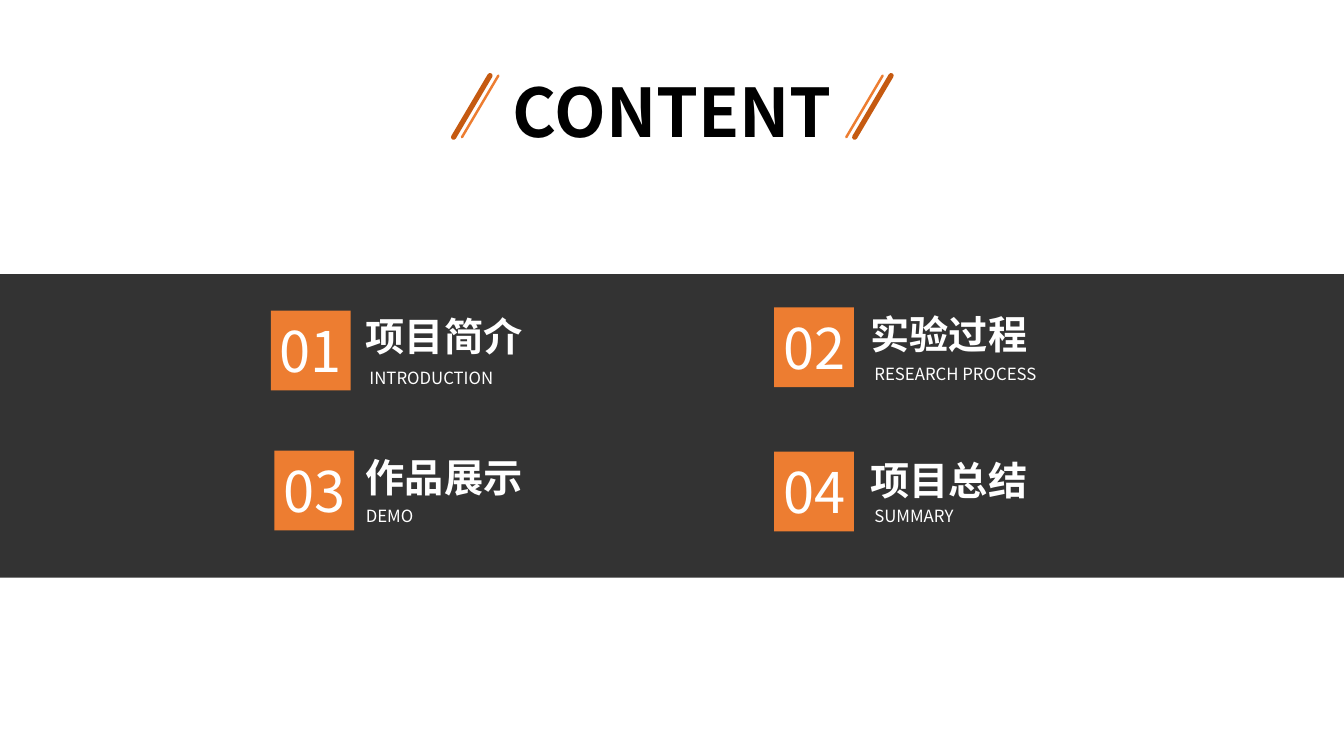
from lxml import etree
from pptx import Presentation
from pptx.dml.color import RGBColor
from pptx.enum import shapes, text
from pptx.oxml.ns import qn
from pptx.util import Pt

BLACK = RGBColor(0x00, 0x00, 0x00)
WHITE = RGBColor(0xFF, 0xFF, 0xFF)
ORANGE = RGBColor(0xED, 0x7D, 0x31)
RUST = RGBColor(0xC5, 0x5A, 0x11)
FONT = "Noto Sans CJK SC"
BADGE = 57

ENTRIES = [
    ("01", "项目简介", "INTRODUCTION", 193.5, 221.8, 254.2, 219.6, 259.2, 112.3, 2.5),
    ("03", "作品展示", "DEMO", 196, 321.8, 254.2, 320.4, 357.8, 51.8, 0),
    ("02", "实验过程", "RESEARCH PROCESS", 553, 219.6, 614.9, 218.2, 256.3, 137.5, 2.5),
    ("04", "项目总结", "SUMMARY", 553, 322.6, 614.9, 322.6, 357.8, 81.4, 2.5),
]


def add_block(slide, left, top, width, height, color):
    block = slide.shapes.add_shape(
        shapes.MSO_SHAPE.RECTANGLE, Pt(left), Pt(top), Pt(width), Pt(height))
    block.shadow.inherit = False
    block.fill.solid()
    block.fill.fore_color.rgb = color
    block.line.fill.background()
    return block


def add_label(slide, words, left, top, width, height, size, color=WHITE, bold=False,
              centred=False, middle=False, wrap=True, indent=0):
    label = slide.shapes.add_textbox(Pt(left), Pt(top), Pt(width), Pt(height))
    frame = label.text_frame
    frame.text = words
    frame.word_wrap = wrap
    frame.auto_size = text.MSO_AUTO_SIZE.SHAPE_TO_FIT_TEXT
    frame.margin_left = Pt(7.2 + indent)
    if middle:
        frame.vertical_anchor = text.MSO_ANCHOR.MIDDLE
    line = frame.paragraphs[0]
    line.alignment = text.PP_ALIGN.CENTER if centred else text.PP_ALIGN.LEFT
    font = line.runs[0].font
    font.size, font.bold, font.name = Pt(size), bold, FONT
    font.color.rgb = color
    etree.SubElement(line.runs[0]._r.get_or_add_rPr(), qn("a:ea"), typeface=FONT)


def add_slash(slide, left, top, color, weight):
    slash = slide.shapes.add_connector(
        shapes.MSO_CONNECTOR.STRAIGHT, Pt(left + 26), Pt(top), Pt(left), Pt(top + 44))
    slash.line.color.rgb = color
    slash.line.width = Pt(weight)
    slash.line._get_or_add_ln().set("cap", "rnd")
    etree.SubElement(slash._element.spPr, qn("a:effectLst"))


def add_heading(slide, left, top, width):
    add_label(slide, "CONTENT", left + 27.4, top - 7.2, 257.8, 65.5, 48, BLACK,
              bold=True, centred=True, wrap=False)
    right = left + width - 26
    for thin, thick in ((left + 6, left), (right - 6, right)):
        add_slash(slide, thin, top, ORANGE, 1.75)
        add_slash(slide, thick, top, RUST, 3.75)


def add_band(slide, left, top, width, height):
    band = add_block(slide, left, top, width, height, BLACK)
    tint = band._element.spPr.find(qn("a:solidFill"))[0]
    etree.SubElement(tint, qn("a:alpha"), val="80000")


def add_entry(slide, number, name, english, left, top, text_left,
              name_top, english_top, english_width, indent):
    add_label(slide, name, text_left, name_top, 151.2, 41, 28, bold=True, middle=True)
    add_label(slide, english, text_left, english_top, english_width, 21.6, 12,
              wrap=False, indent=indent)
    add_block(slide, left, top, BADGE, BADGE, ORANGE)
    add_label(slide, number, left - 5.5, top + 0.7, BADGE + 11, 55.4, 40,
              centred=True, middle=True)


def main():
    deck = Presentation()
    deck.slide_width, deck.slide_height = Pt(960), Pt(540)
    slide = deck.slides.add_slide(deck.slide_layouts[6])
    add_band(slide, -3.6, 195.8, 963.6, 216.8)
    add_heading(slide, 324, 54, 312.5)
    for entry in ENTRIES:
        add_entry(slide, *entry)
    deck.save("out.pptx")


if __name__ == "__main__":
    main()
